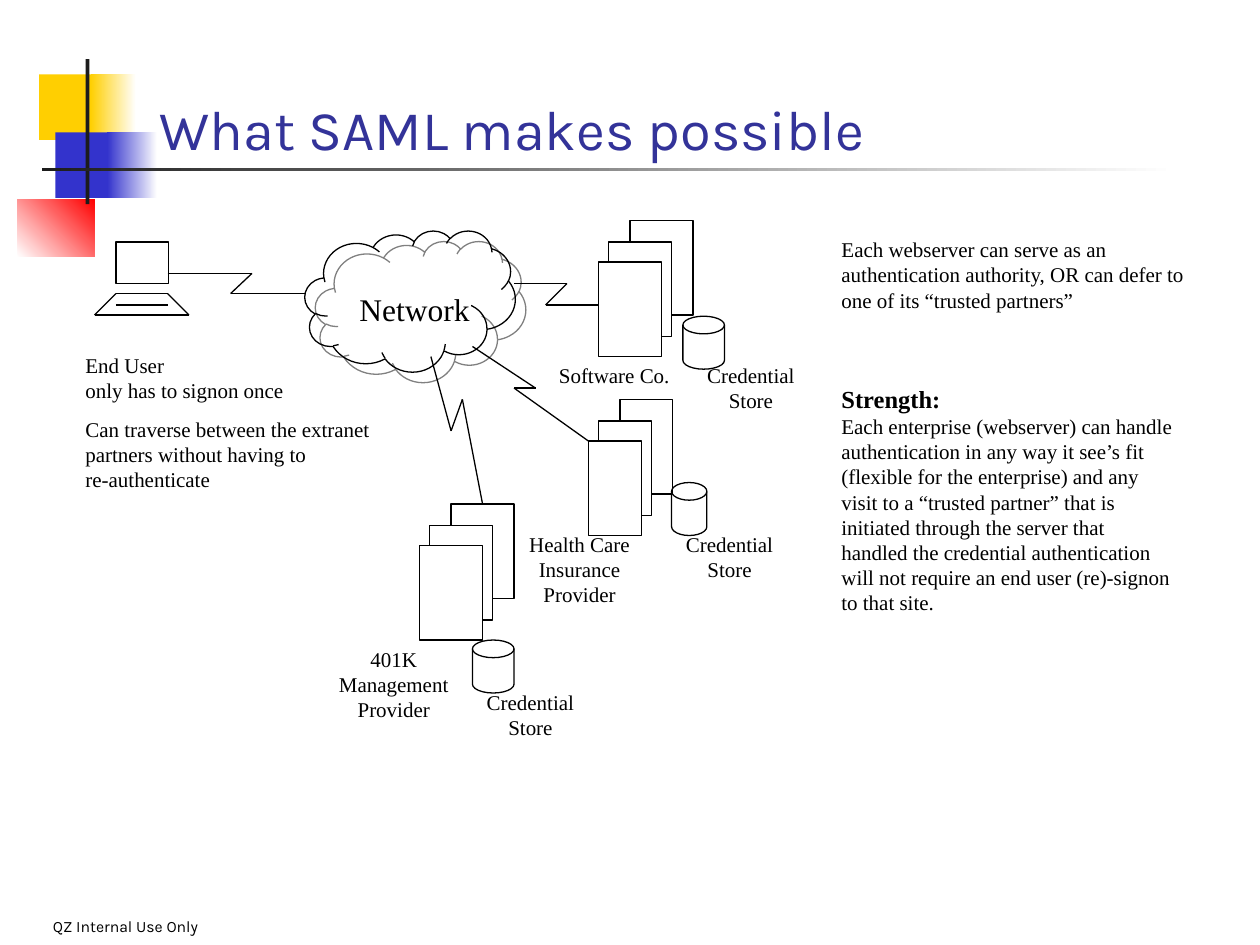
from dataclasses import dataclass
from itertools import pairwise

from lxml.etree import SubElement
from pptx import Presentation
from pptx.dml.color import RGBColor as Rgb
from pptx.enum.shapes import MSO_CONNECTOR as Connector, MSO_SHAPE as Shape
from pptx.enum.text import MSO_ANCHOR as Anchor, PP_ALIGN as Align
from pptx.oxml import parse_xml
from pptx.oxml.ns import nsdecls, qn
from pptx.util import Inches, Pt


@dataclass(frozen=True)
class Theme:
    black: str = "000000"
    white: str = "FFFFFF"
    dark: str = "1C1C1C"
    yellow: str = "FFCF01"
    blue: str = "3333CC"
    red: str = "FF0000"
    title_blue: str = "333399"
    heading_font: str = "Karla"
    body_font: str = "Times New Roman"
    title: int = 32
    network: int = 18
    strength: int = 14
    body: int = 12
    footer: int = 9
    line: float = 0.75


theme = Theme()
deck = Presentation()
deck.slide_width, deck.slide_height = Inches(10), Inches(7.5)
page = deck.slides.add_slide(deck.slide_layouts[6])


def add_figure(kind, place, fill=(), outlined=True):
    """Add a shape with no fill, one colour, or a gradient of two."""
    figure = page.shapes.add_shape(kind, *map(Inches, place))
    figure.shadow.inherit = False
    if len(fill) == 2:
        figure.fill.gradient()
        for stop, color in zip(figure.fill.gradient_stops, fill):
            stop.color.rgb = Rgb.from_string(color)
        figure.fill.gradient_angle = 0
    elif fill:
        figure.fill.solid()
        figure.fill.fore_color.rgb = Rgb.from_string(fill[0])
    else:
        figure.fill.background()
    if outlined:
        figure.line.color.rgb = Rgb.from_string(theme.black)
        figure.line.width = Pt(theme.line)
    else:
        figure.line.fill.background()
    return figure


def add_text(place, texts, size=theme.body, align=Align.LEFT, font=theme.body_font,
             color=theme.black, anchor=Anchor.TOP):
    """Add a wrapped text box with one paragraph for each text."""
    box = page.shapes.add_textbox(*map(Inches, place))
    frame = box.text_frame
    frame.word_wrap = True
    frame.vertical_anchor = anchor
    for index, text in enumerate(texts):
        para = frame.add_paragraph() if index else frame.paragraphs[0]
        para.text = text
        para.alignment = align
        para.space_before = Pt(7.5 if index else 0)
        para.font.name, para.font.size = font, Pt(size)
        para.font.color.rgb = Rgb.from_string(color)
    return frame


# Corner decoration and title rule
decoration = [
    ((0.31, 0.59, 0.48, 0.52), [theme.yellow]),
    ((0.72, 0.59, 0.36, 0.52), [theme.yellow, theme.white]),
    ((0.44, 1.05, 0.46, 0.52), [theme.blue]),
    ((0.85, 1.05, 0.4, 0.52), [theme.blue, theme.white]),
    ((0.14, 1.58, 0.61, 0.46), [theme.white, theme.red]),
    ((0.68, 0.47, 0.03, 1.15), [theme.dark]),
    ((0.33, 1.33, 9, 0.03), [theme.dark, theme.white]),
]
for place, fill in decoration:
    block = add_figure(Shape.RECTANGLE, place, fill, outlined=False)
    if theme.red in fill:
        block.fill.gradient_angle = 45

# Title and footer
add_text((1.17, 0.58, 7, 0.75), ["What SAML makes possible"], theme.title,
         font=theme.heading_font, color=theme.title_blue, anchor=Anchor.BOTTOM)
footer = add_text((0, 7, 3.17, 0.5), ["QZ Internal Use Only"], theme.footer,
                  font=theme.heading_font, anchor=Anchor.BOTTOM)
footer.margin_left, footer.margin_bottom = Inches(0.42), Inches(0.07)

# Explanations
add_text((6.58, 1.83, 3.08, 0.7), [
    "Each webserver can serve as an authentication authority, OR can defer to "
    "one of its “trusted partners”"])
strength = add_text((6.58, 3, 2.83, 1.94), ["Strength:"]).paragraphs[0]
strength.runs[0].font.size = Pt(theme.strength)
strength.runs[0].font.bold = True
strength.add_line_break()
strength.add_run().text = (
    "Each enterprise (webserver) can handle authentication in any way it see’s fit "
    "(flexible for the enterprise) and any visit to a “trusted partner” that is "
    "initiated through the server that handled the credential authentication will "
    "not require an end user (re)-signon to that site.")
add_text((0.58, 2.75, 2.5, 1.21), [
    "End User\vonly has to signon once",
    "Can traverse between the extranet partners without having to\vre-authenticate"])

# Network cloud with an offset shadow
cloud = add_figure(Shape.CLOUD, (2.42, 1.83, 1.67, 1.12))
effects = cloud.element.spPr.find(qn("a:effectLst"))
effects.append(parse_xml(
    f'<a:outerShdw {nsdecls("a")} dist="{Pt(8.5)}" dir="2700000" algn="ctr" '
    'rotWithShape="0"><a:srgbClr val="808080"/></a:outerShdw>'))
add_text((2.5, 2.25, 1.58, 0.4), ["Network"], theme.network, Align.CENTER)

# Partners: front server, server width, credential store, two label places
partners = [
    ((4.75, 2.08), 0.5, (5.42, 2.51, 0.33, 0.42),
     "Software Co.", (4.25, 2.83, 1.25, 0.3), (5.42, 2.83)),
    ((4.67, 3.5), 0.42, (5.33, 3.83, 0.28, 0.42),
     "Health Care Insurance Provider", (4.08, 4.17, 1.04, 0.7), (5.25, 4.17)),
    ((3.33, 4.33), 0.5, (3.75, 5.08, 0.33, 0.42),
     "401K Management Provider", (2.5, 5.08, 1.25, 0.7), (3.67, 5.42)),
]
back_servers = []
for (left, top), width, store, name, name_place, store_label in partners:
    back_servers.append(add_figure(
        Shape.RECTANGLE, (left + 0.25, top - 0.33, width, 0.75)))
    for right, up in [(0.08, 0.16), (0, 0)]:
        add_figure(Shape.RECTANGLE, (left + right, top - up, width, 0.75), [theme.white])
    add_figure(Shape.FLOWCHART_MAGNETIC_DISK, store)
    add_text(name_place, [name], align=Align.CENTER)
    add_text((*store_label, 1.08, 0.5), ["Credential\vStore"], align=Align.CENTER)

# End user's computer, then the zigzag links to the network
add_figure(Shape.RECTANGLE, (0.92, 1.92, 0.42, 0.33))
keyboard = [(0.92, 2.33), (1.33, 2.33), (1.5, 2.5), (0.75, 2.5), (0.92, 2.33)]
keys = [(0.92, 2.42), (1.33, 2.42)]
user_link = [(1.33, 2.17), (2, 2.17), (1.83, 2.33), (2.42, 2.33)]
software_link = [(4.08, 2.25), (4.5, 2.25), (4.33, 2.42), (4.75, 2.42)]
health_link = [(3.75, 2.75), (4.25, 3.08), (4.08, 3.08), (4.67, 3.5)]
management_link = [(3.42, 2.83), (3.58, 3.42), (3.67, 3.17), (3.83, 4)]
for points in [keyboard, keys, user_link, software_link, health_link, management_link]:
    for start, end in pairwise(points):
        line = page.shapes.add_connector(Connector.STRAIGHT, *map(Inches, start + end))
        line.line.color.rgb = Rgb.from_string(theme.black)
        line.line.width = Pt(theme.line)
        SubElement(line.element.spPr, qn("a:effectLst"))
line.end_connect(back_servers[-1], 0)

deck.save("out.pptx")
